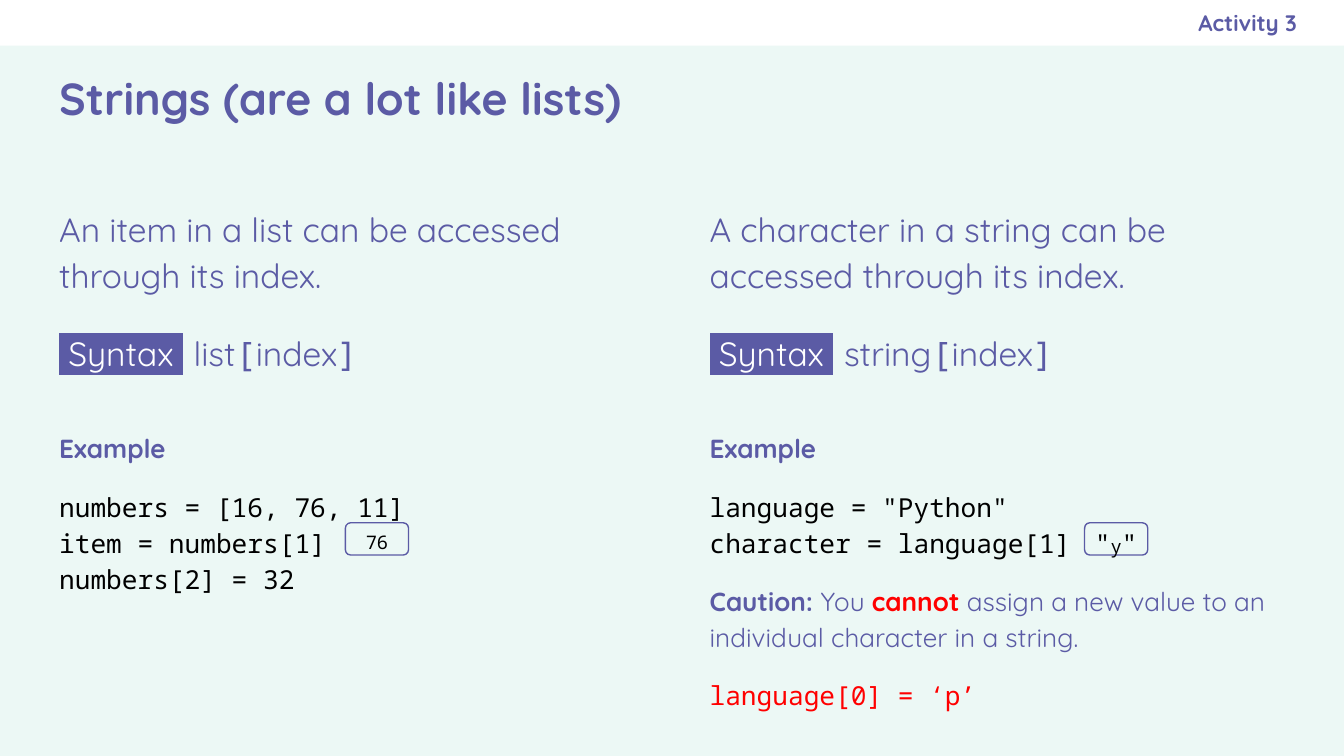
from lxml import etree
from pptx import Presentation
from pptx.dml.color import RGBColor
from pptx.enum.shapes import MSO_SHAPE
from pptx.enum.text import MSO_ANCHOR, MSO_AUTO_SIZE, PP_ALIGN
from pptx.oxml.ns import qn
from pptx.util import Inches, Pt

RECT, ROUNDED = MSO_SHAPE.RECTANGLE, MSO_SHAPE.ROUNDED_RECTANGLE
TOP, MIDDLE = MSO_ANCHOR.TOP, MSO_ANCHOR.MIDDLE
LEFT, CENTER, RIGHT = PP_ALIGN.LEFT, PP_ALIGN.CENTER, PP_ALIGN.RIGHT
SANS, MONO = "Quicksand", "Noto Sans Mono"
PURPLE, MINT, WHITE, BLACK, RED = "5B5BA5", "ECF8F5", "FFFFFF", "000000", "FF0000"

WIDTH = 10
HEIGHT = WIDTH * 9 / 16
MARGIN, BAR_H = 0.34, 0.34
COLUMN_W = 4.48
COLUMN_X = (MARGIN, WIDTH - MARGIN - COLUMN_W)
COMPARISON_LAYOUT = 4


def rgb(color):
    return RGBColor.from_string(color)


def place(sp, x, y, w, h):
    sp.left, sp.top, sp.width, sp.height = (Inches(v) for v in (x, y, w, h))


def run(text, size=14, color=PURPLE, font=SANS, bold=False, highlight=None):
    return text, size, color, font, bold, highlight


def code(text, color=BLACK, size=14):
    return run(text, size, color, MONO)


def add_run(p, text, size, color, font, bold, highlight):
    r = p.add_run()
    r.text = text
    r.font.size, r.font.name, r.font.bold = Pt(size), font, bold
    r.font.color.rgb = rgb(color)
    if highlight:
        mark = etree.Element(qn("a:highlight"))
        etree.SubElement(mark, qn("a:srgbClr"), val=highlight)
        r._r.rPr.find(qn("a:solidFill")).addnext(mark)


def write(sp, paragraphs, anchor=TOP, align=LEFT, insets=(0.1, 0.1, 0.06, 0.1)):
    """Fill a shape with paragraphs given as (line spacing, space before, runs, tab stop)."""
    tf = sp.text_frame
    tf.word_wrap, tf.auto_size, tf.vertical_anchor = True, MSO_AUTO_SIZE.NONE, anchor
    tf.margin_left, tf.margin_top, tf.margin_right, tf.margin_bottom = map(Inches, insets)
    for i, (spacing, before, runs, tab) in enumerate(paragraphs):
        p = tf.add_paragraph() if i else tf.paragraphs[0]
        pPr = p._p.get_or_add_pPr()
        pPr.set("marL", "0")
        pPr.set("indent", "0")
        etree.SubElement(pPr, qn("a:buNone"))
        if tab:
            tabs = etree.SubElement(pPr, qn("a:tabLst"))
            etree.SubElement(tabs, qn("a:tab"), pos=str(Inches(tab)), algn="l")
        p.alignment, p.line_spacing, p.space_before = align, spacing, Pt(before)
        for item in runs:
            add_run(p, *item)


def add_header(slide, title, label):
    bar = slide.shapes.add_shape(RECT, 0, 0, Inches(WIDTH), Inches(BAR_H))
    bar.shadow.inherit = False
    bar.fill.solid()
    bar.fill.fore_color.rgb = rgb(WHITE)
    bar.line.fill.background()
    tag = slide.shapes.add_textbox(0, 0, 0, 0)
    place(tag, 5.75, 0, 3.9, BAR_H)
    write(tag, [(1, 0, [run(label, 12, bold=True)], None)], MIDDLE, RIGHT,
          (0.1, 0.1, 0, 0.1))
    sp = slide.shapes.title
    place(sp, MARGIN, BAR_H, WIDTH - 2 * MARGIN, 0.77)
    write(sp, [(1, 0, [run(title, 24, bold=True)], None)], MIDDLE,
          insets=(0.1,) * 4)


def add_syntax(sp, x, sentence, name):
    place(sp, x, 1.41, COLUMN_W, 1.55)
    syntax = [run(" Syntax ", 18, WHITE, highlight=PURPLE), run("\t" + name, 18),
              code("[", PURPLE, 18), run("index", 18), code("]", PURPLE, 18)]
    write(sp, [(1.14, 0, [run(sentence, 18)], None), (1.12, 18, syntax, 1.11)])


def add_example(sp, x, height, lines):
    """Place an Example heading above (space before, runs) lines."""
    place(sp, x, 3.09, COLUMN_W, height)
    heading = (1.12, 0, [run("Example", bold=True)], None)
    write(sp, [heading] + [(1.15, before, runs, None) for before, runs in lines])


def add_result(slide, x, runs):
    sp = slide.shapes.add_shape(ROUNDED, 0, 0, 0, 0)
    place(sp, x, 3.89, 0.47, 0.24)
    sp.shadow.inherit = False
    sp.fill.background()
    sp.line.color.rgb, sp.line.width = rgb(PURPLE), Pt(0.75)
    write(sp, [(1.15, 0, runs, None)], MIDDLE, CENTER, (0, 0.02, 0, 0))


def main():
    prs = Presentation()
    prs.slide_width, prs.slide_height = Inches(WIDTH), Inches(HEIGHT)
    slide = prs.slides.add_slide(prs.slide_layouts[COMPARISON_LAYOUT])
    slide.background.fill.solid()
    slide.background.fill.fore_color.rgb = rgb(MINT)
    add_header(slide, "Strings (are a lot like lists)", "Activity 3")

    body = slide.placeholders
    left, right = COLUMN_X
    add_syntax(body[1], left, "An item in a list can be accessed through its index.", "list")
    add_example(body[2], left, 1.16, [
        (12, [code("numbers = [16, 76, 11]")]),
        (0, [code("item = numbers[1]")]),
        (0, [code("numbers[2] = 32")]),
    ])
    add_result(slide, left + 2.23, [code("76", size=10)])

    add_syntax(body[3], right, "A character in a string can be accessed through its index.",
               "string")
    add_example(body[4], right, 2.19, [
        (12, [code('language = "Python"')]),
        (0, [code("character = language[1]")]),
        (12, [run("Caution: ", bold=True), run("You "), run("cannot", color=RED, bold=True),
              run(" assign a new value to an individual character in a string.")]),
        (12, [code("language[0] = ‘p’", RED)]),
    ])
    add_result(slide, right + 2.89, [code('"'), code("y", size=10), code('"')])
    prs.save("out.pptx")


if __name__ == "__main__":
    main()
